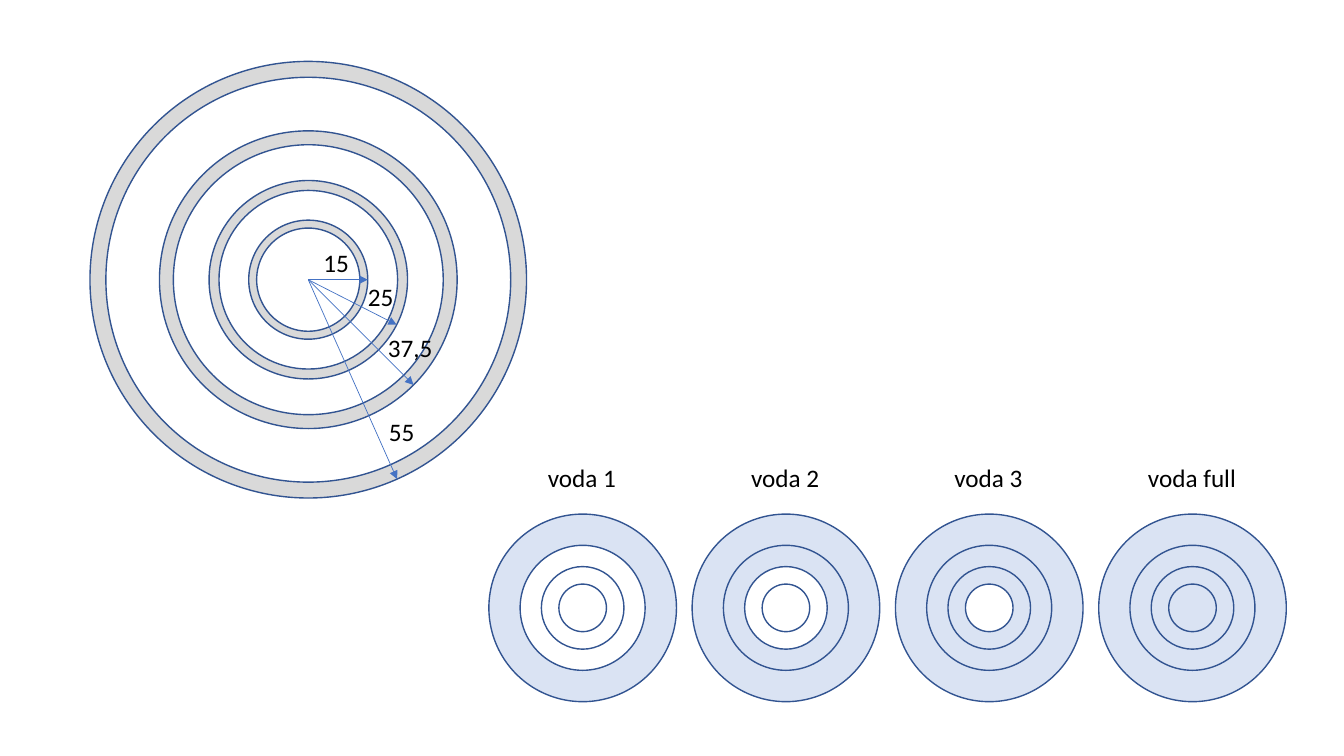
from math import cos, radians, sin

from lxml import etree
from pptx import Presentation
from pptx.dml.color import RGBColor
from pptx.enum.shapes import MSO_CONNECTOR, MSO_SHAPE
from pptx.enum.text import MSO_AUTO_SIZE
from pptx.oxml.ns import qn
from pptx.util import Pt

ELLIPSE = MSO_SHAPE.OVAL
STRAIGHT = MSO_CONNECTOR.STRAIGHT
FIT_SHAPE = MSO_AUTO_SIZE.SHAPE_TO_FIT_TEXT

BLACK = RGBColor(0x00, 0x00, 0x00)
WHITE = RGBColor(0xFF, 0xFF, 0xFF)
WALL_GREY = RGBColor(0xD9, 0xD9, 0xD9)
WATER_BLUE = RGBColor(0xDA, 0xE3, 0xF3)
OUTLINE_BLUE = RGBColor(0x32, 0x54, 0x91)
ARROW_BLUE = RGBColor(0x44, 0x72, 0xC4)

POINTS_PER_MM = 2.835
TUBE_CENTER = (220.2, 199.8)
TUBE_RADII_MM = [(55, 51), (37.5, 34), (25, 22.5), (15, 13)]
RADIUS_ARROWS = [
    (15, 0, "15", 33, 240.5, 187.9),
    (25, 27, "25", 33, 272.2, 211.7),
    (37.5, 45, "37,5", 46.8, 293.4, 248.4),
    (55, 66, "55", 33, 287.3, 308.2),
]
WATER_STATES = [("voda 1", 64), ("voda 2", 64), ("voda 3", 64), ("voda full", 77.8)]
WATER_RADII = [67, 44.65, 29.5, 17]
WATER_LEFT, WATER_STEP, WATER_Y, CAPTION_Y = 416.2, 145.2, 434.2, 341.3


class Diagram:
    """Draws circles, arrows and labels in one style on a slide."""

    def __init__(self, slide, font="Calibri", size=18):
        self.slide = slide
        self.font = font
        self.size = size

    def circle(self, x, y, radius, color):
        shape = self.slide.shapes.add_shape(
            ELLIPSE, Pt(x - radius), Pt(y - radius), Pt(2 * radius), Pt(2 * radius))
        shape.shadow.inherit = False
        shape.fill.solid()
        shape.fill.fore_color.rgb = color
        shape.line.color.rgb = OUTLINE_BLUE
        shape.line.width = Pt(1)

    def arrow(self, x, y, length, degrees):
        end_x = x + length * cos(radians(degrees))
        end_y = y + length * sin(radians(degrees))
        connector = self.slide.shapes.add_connector(
            STRAIGHT, Pt(x), Pt(y), Pt(end_x), Pt(end_y))
        connector.line.color.rgb = ARROW_BLUE
        connector.line.width = Pt(0.5)
        line = connector.line._get_or_add_ln()
        etree.SubElement(line, qn("a:tailEnd"), type="triangle")
        etree.SubElement(connector._element.spPr, qn("a:effectLst"))

    def label(self, text, x, y, width, height=29):
        box = self.slide.shapes.add_textbox(
            Pt(x - width / 2), Pt(y - height / 2), Pt(width), Pt(height))
        frame = box.text_frame
        frame.text = text
        frame.word_wrap = False
        frame.auto_size = FIT_SHAPE
        font = frame.paragraphs[0].runs[0].font
        font.name = self.font
        font.size = Pt(self.size)
        font.color.rgb = BLACK


def main():
    presentation = Presentation()
    presentation.slide_width = Pt(960)
    presentation.slide_height = Pt(540)
    diagram = Diagram(presentation.slides.add_slide(presentation.slide_layouts[6]))

    for outer, inner in TUBE_RADII_MM:
        diagram.circle(*TUBE_CENTER, outer * POINTS_PER_MM, WALL_GREY)
        diagram.circle(*TUBE_CENTER, inner * POINTS_PER_MM, WHITE)
    for radius, degrees, *_ in RADIUS_ARROWS:
        diagram.arrow(*TUBE_CENTER, radius * POINTS_PER_MM, degrees)
    for _, _, text, width, x, y in RADIUS_ARROWS:
        diagram.label(text, x, y, width)

    for state, (caption, width) in enumerate(WATER_STATES):
        x = WATER_LEFT + state * WATER_STEP
        for ring, radius in enumerate(WATER_RADII):
            diagram.circle(x, WATER_Y, radius, WATER_BLUE if ring <= state else WHITE)
        diagram.label(caption, x, CAPTION_Y, width)

    presentation.save("out.pptx")


if __name__ == "__main__":
    main()
